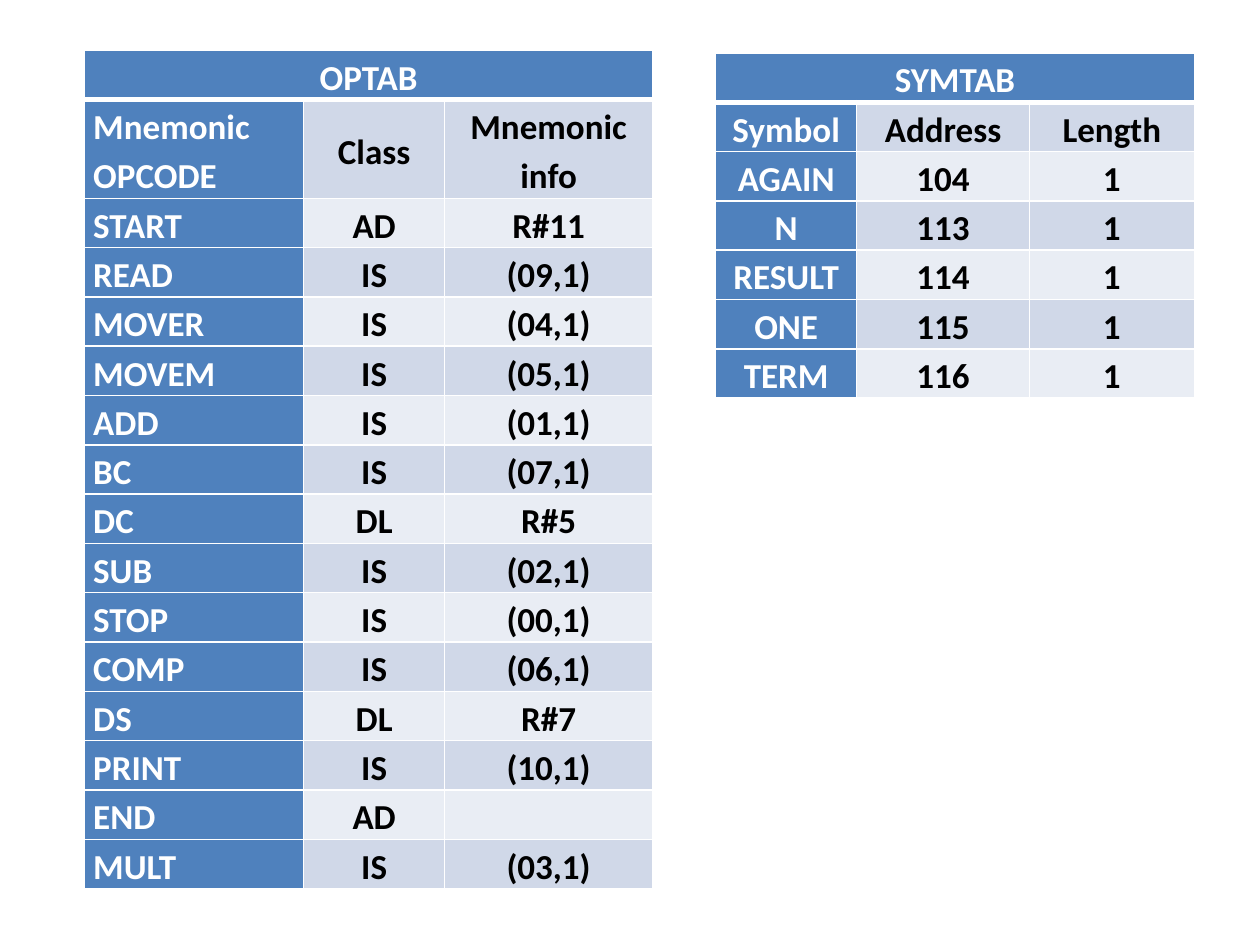
"""Build a slide with the OPTAB and SYMTAB assembler tables."""
from dataclasses import dataclass

from lxml.etree import SubElement
from pptx import Presentation
from pptx.dml.color import RGBColor
from pptx.enum.text import MSO_ANCHOR, PP_ALIGN
from pptx.oxml.ns import qn
from pptx.util import Inches, Pt


@dataclass(frozen=True)
class Theme:
    font: str = "Calibri"
    size: int = 20
    line_spacing: float = 1.15
    accent: str = "4F81BD"
    bands: tuple[str, str] = ("E9EDF4", "D0D8E8")
    light: str = "FFFFFF"
    dark: str = "000000"
    rule: int = 1
    title_rule: int = 3
    row_height: float = 0.39
    side_margin: float = 0.07


@dataclass(frozen=True)
class SymbolTable:
    title: str
    left: float
    top: float
    widths: tuple[float, ...]
    rows: list[tuple[str, ...]]
    key_align: PP_ALIGN = PP_ALIGN.CENTER
    heading_align: PP_ALIGN = PP_ALIGN.CENTER
    heading_lines: int = 1


THEME = Theme()

OPTAB = SymbolTable(
    "OPTAB", 0.67, 0.4, (1.74, 1.12, 1.65),
    [
        ("Mnemonic OPCODE", "Class", "Mnemonic info"),
        ("START", "AD", "R#11"),
        ("READ", "IS", "(09,1)"),
        ("MOVER", "IS", "(04,1)"),
        ("MOVEM", "IS", "(05,1)"),
        ("ADD", "IS", "(01,1)"),
        ("BC", "IS", "(07,1)"),
        ("DC", "DL", "R#5"),
        ("SUB", "IS", "(02,1)"),
        ("STOP", "IS", "(00,1)"),
        ("COMP", "IS", "(06,1)"),
        ("DS", "DL", "R#7"),
        ("PRINT", "IS", "(10,1)"),
        ("END", "AD", ""),
        ("MULT", "IS", "(03,1)"),
    ],
    key_align=PP_ALIGN.LEFT, heading_align=PP_ALIGN.JUSTIFY, heading_lines=2,
)

SYMTAB = SymbolTable(
    "SYMTAB", 5.68, 0.42, (1.12, 1.37, 1.31),
    [
        ("Symbol", "Address", "Length"),
        ("AGAIN", "104", "1"),
        ("N", "113", "1"),
        ("RESULT", "114", "1"),
        ("ONE", "115", "1"),
        ("TERM", "116", "1"),
    ],
)


def set_borders(cell, top: int, bottom: int) -> None:
    """Rule all four sides of a cell, with widths in points."""
    properties = cell._tc.get_or_add_tcPr()
    sides = {"lnL": THEME.rule, "lnR": THEME.rule, "lnT": top, "lnB": bottom}
    for side, width in sides.items():
        line = SubElement(properties, qn(f"a:{side}"), w=str(Pt(width)))
        paint = SubElement(line, qn("a:solidFill"))
        SubElement(paint, qn("a:srgbClr"), val=THEME.light)


def fill_cell(cell, text: str, fill: str, ink: str, align: PP_ALIGN) -> None:
    """Colour a cell and write its text."""
    cell.fill.solid()
    cell.fill.fore_color.rgb = RGBColor.from_string(fill)
    cell.vertical_anchor = MSO_ANCHOR.MIDDLE
    cell.margin_left = cell.margin_right = Inches(THEME.side_margin)
    cell.margin_top = cell.margin_bottom = Inches(0)
    if not text:
        return
    paragraph = cell.text_frame.paragraphs[0]
    paragraph.alignment = align
    paragraph.line_spacing = THEME.line_spacing
    run = paragraph.add_run()
    run.text = text
    run.font.name = THEME.font
    run.font.size = Pt(THEME.size)
    run.font.bold = True
    run.font.color.rgb = RGBColor.from_string(ink)


def draw_table(slide, content: SymbolTable) -> None:
    """Draw a titled table with a key column and banded rows."""
    heights = [THEME.row_height] * (len(content.rows) + 1)
    heights[1] *= content.heading_lines
    grid = slide.shapes.add_table(
        len(heights), len(content.widths), Inches(content.left), Inches(content.top),
        Inches(sum(content.widths)), Inches(sum(heights)),
    ).table
    for column, width in zip(grid.columns, content.widths):
        column.width = Inches(width)
    for index, (row, height) in enumerate(zip(grid.rows, heights)):
        row.height = Inches(height)
        for cell in row.cells:
            set_borders(
                cell,
                top=THEME.title_rule if index == 1 else THEME.rule,
                bottom=THEME.title_rule if index == 0 else THEME.rule,
            )

    title = grid.cell(0, 0)
    title.merge(grid.cell(0, len(content.widths) - 1))
    fill_cell(title, content.title, THEME.accent, THEME.light, PP_ALIGN.CENTER)
    for index, (key, *values) in enumerate(content.rows, start=1):
        align = content.heading_align if index == 1 else content.key_align
        fill_cell(grid.cell(index, 0), key, THEME.accent, THEME.light, align)
        for column, value in enumerate(values, start=1):
            fill_cell(grid.cell(index, column), value, THEME.bands[index % 2],
                      THEME.dark, PP_ALIGN.CENTER)


def main() -> None:
    """Create the slide and save it."""
    presentation = Presentation()
    presentation.slide_width = Inches(10)
    presentation.slide_height = Inches(7.5)
    slide = presentation.slides.add_slide(presentation.slide_layouts[6])
    for content in (OPTAB, SYMTAB):
        draw_table(slide, content)
    presentation.save("out.pptx")


if __name__ == "__main__":
    main()
